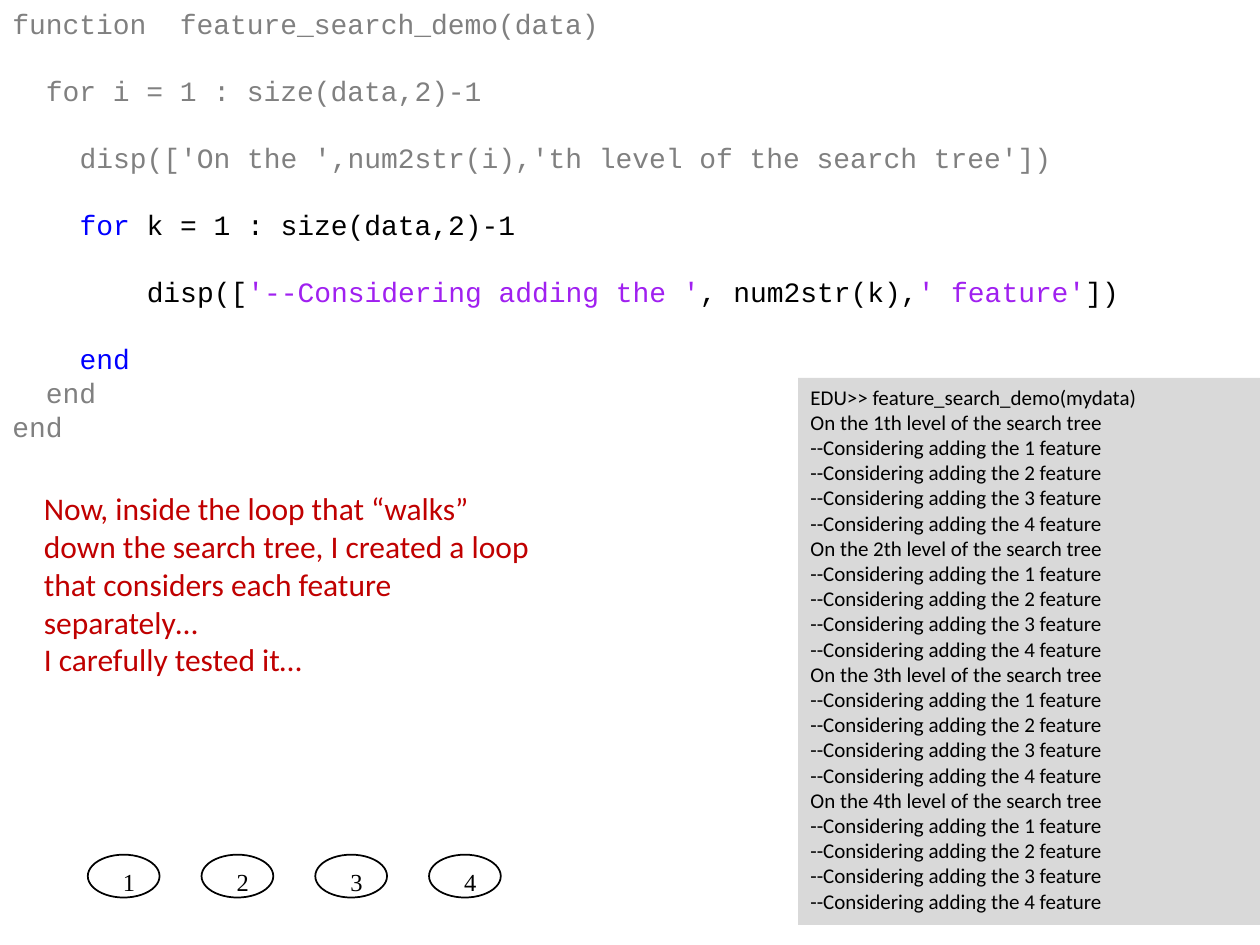
import pptx
import pptx.util
import pptx.dml.color
import pptx.enum.shapes
import pptx.enum.text

Pt = pptx.util.Pt
CODE_SIZE = 16
CODE_PITCH = 19.2
CHAR_WIDTH = 9.6
GRAY, BLACK, BLUE, PURPLE = "808080", "000000", "0000FF", "A020F0"

CODE = [
    (0, 0, [("function  feature_search_demo(data)", GRAY)]),
    (2, 1, [("for i = 1 : size(data,2)-1", GRAY)]),
    (4, 1, [("disp(['On the ',num2str(i),'th level of the search tree'])", GRAY)]),
    (4, 1, [("for", BLUE), (" k = 1 : size(data,2)-1", BLACK)]),
    (8, 1, [("disp([", BLACK), ("'--Considering adding the '", PURPLE),
            (", num2str(k),", BLACK), ("' feature'", PURPLE), ("])", BLACK)]),
    (4, 1, [("end", BLUE)]),
    (2, 0, [("end", GRAY)]),
    (0, 0, [("end", GRAY)]),
]
FEATURES = range(1, 5)


def color(hex_value):
    return pptx.dml.color.RGBColor.from_string(hex_value)


def style(run, font, size, hex_value):
    run.font.name = font
    run.font.size = Pt(size)
    run.font.color.rgb = color(hex_value)


def add_text(slide, box, lines, font, size, hex_value, wrap=True):
    text_box = slide.shapes.add_textbox(*map(Pt, box))
    frame = text_box.text_frame
    frame.word_wrap = wrap
    frame.auto_size = pptx.enum.text.MSO_AUTO_SIZE.SHAPE_TO_FIT_TEXT
    frame.text = "\n".join(lines)
    for paragraph in frame.paragraphs:
        for run in paragraph.runs:
            style(run, font, size, hex_value)
    return text_box


def add_code(slide, box):
    frame = slide.shapes.add_textbox(*map(Pt, box)).text_frame
    frame.word_wrap = True
    for number, (indent, gap_lines, pieces) in enumerate(CODE):
        paragraph = frame.add_paragraph() if number else frame.paragraphs[0]
        paragraph.line_spacing = Pt(CODE_PITCH)
        paragraph.space_before = Pt(gap_lines * CODE_PITCH)
        properties = paragraph._p.get_or_add_pPr()
        properties.set("marL", str(Pt(indent * CHAR_WIDTH)))
        properties.set("indent", "0")
        for text, hex_value in pieces:
            run = paragraph.add_run()
            run.text = text
            style(run, "Courier New", CODE_SIZE, hex_value)


def add_feature_nodes(slide, box):
    left, top, width, height = box
    node_width = 41
    step = (width - node_width) / (len(FEATURES) - 1)
    for position, feature in enumerate(FEATURES):
        x = left + position * step
        node = slide.shapes.add_shape(pptx.enum.shapes.MSO_SHAPE.OVAL,
                                      Pt(x), Pt(top), Pt(node_width), Pt(height))
        node.shadow.inherit = False
        node.fill.background()
        node.line.color.rgb = color(BLACK)
        node.line.width = Pt(1)
        add_text(slide, (x + 13, top + 3.6, 21.6, height), [str(feature)],
                 "Times New Roman", 14, BLACK, wrap=False)


def add_console(slide, box):
    lines = ["EDU>> feature_search_demo(mydata)"]
    for level in FEATURES:
        lines.append(f"On the {level}th level of the search tree")
        lines += [f"--Considering adding the {feature} feature" for feature in FEATURES]
    console = add_text(slide, box, lines, "Calibri", 12, BLACK)
    console.fill.solid()
    console.fill.fore_color.rgb = color("D9D9D9")


def add_comment(slide, box):
    add_text(slide, box, [
        "Now, inside the loop that “walks” down the search tree, "
        "I created a loop that considers each feature separately…",
        "I carefully tested it…",
    ], "Calibri", 18, "C00000")


def main():
    deck = pptx.Presentation()
    deck.slide_width, deck.slide_height = Pt(720), Pt(540)
    slide = deck.slides.add_slide(deck.slide_layouts[6])
    add_code(slide, (0, 0, 672, 259.2))
    add_feature_nodes(slide, (50.2, 488.4, 236, 24.5))
    add_console(slide, (456, 216, 264, 312.5))
    add_comment(slide, (18, 276, 294, 116.6))
    deck.save("out.pptx")


if __name__ == "__main__":
    main()
